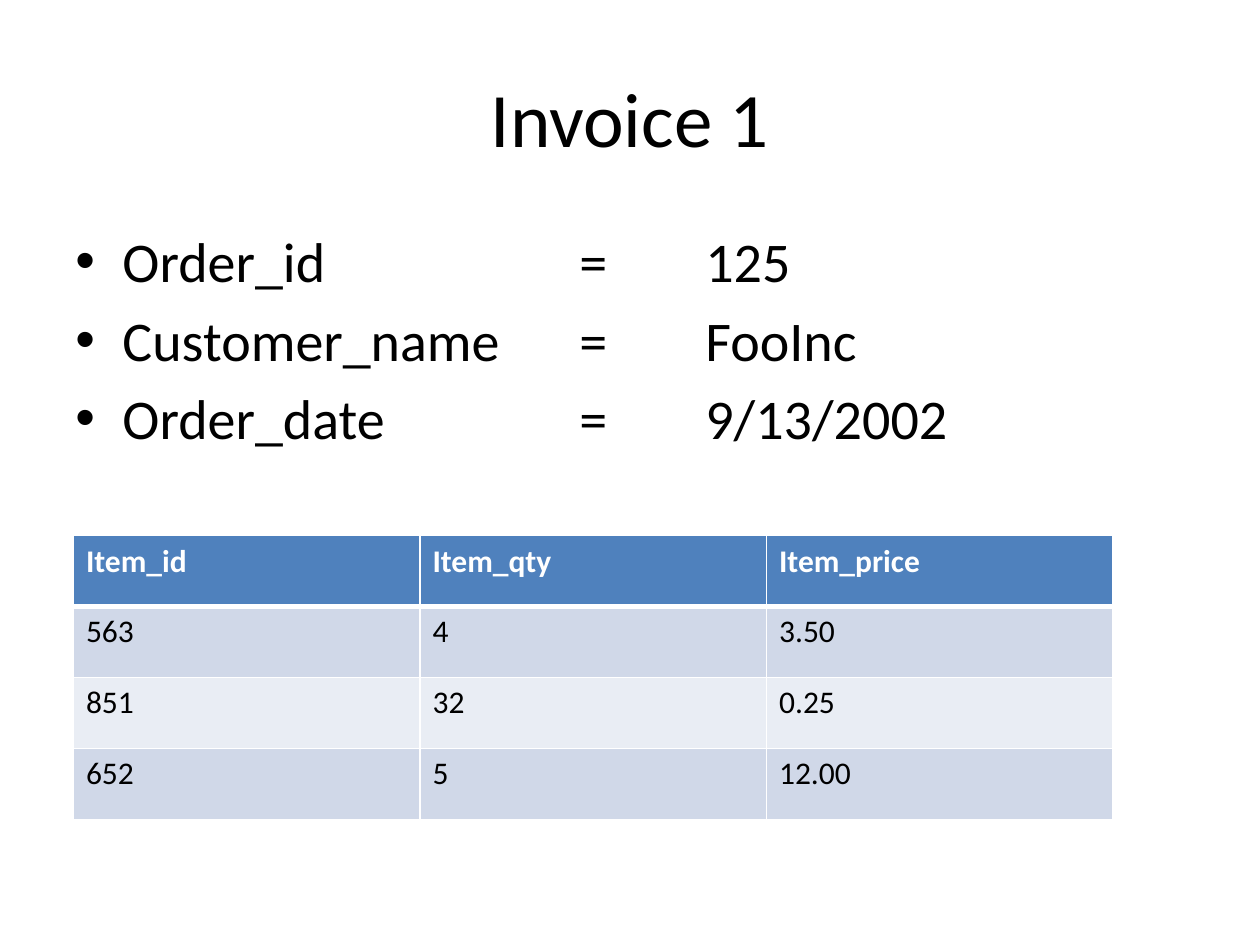
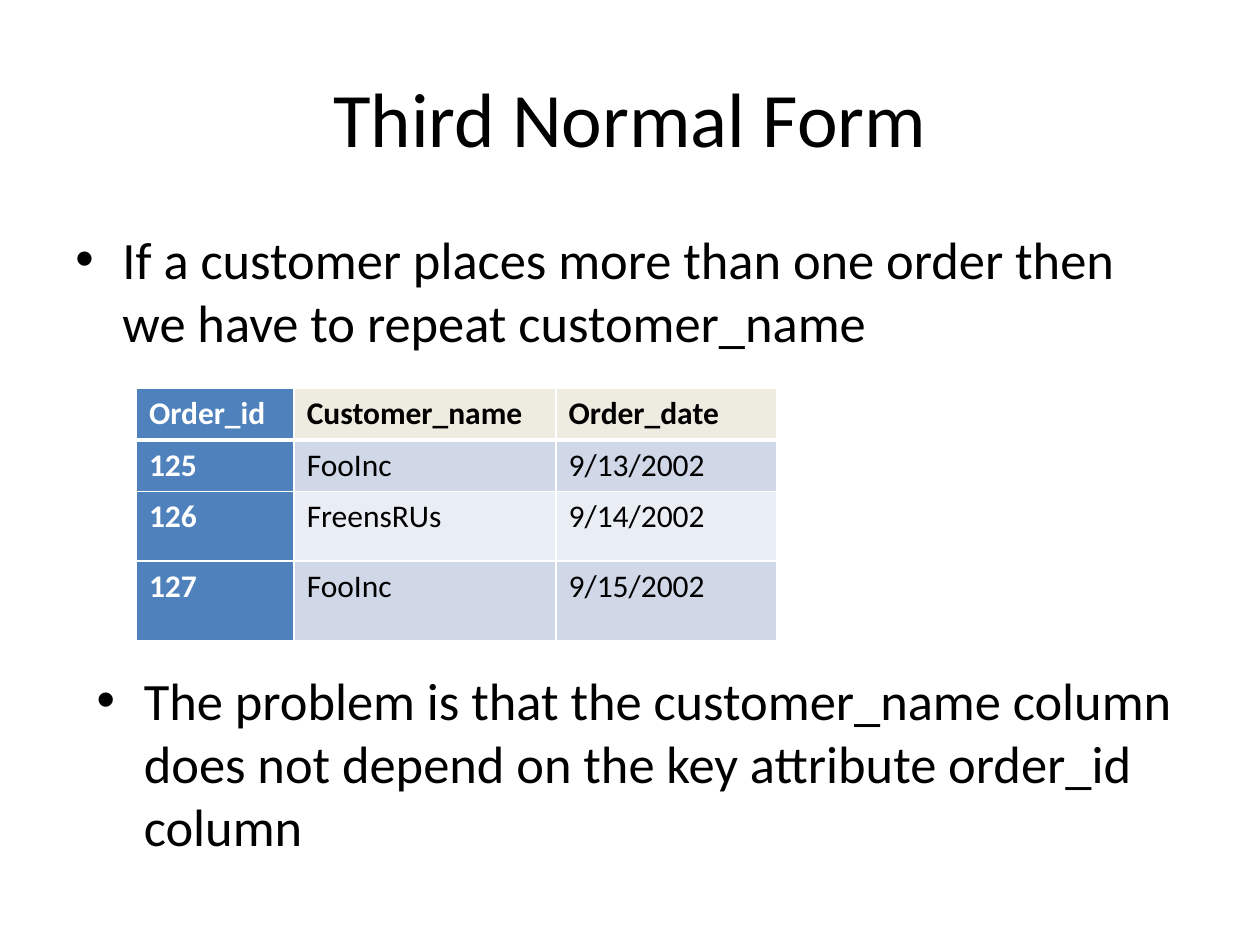
import dataclasses

import lxml.etree
import pptx
import pptx.dml.color
import pptx.enum.text
import pptx.oxml.ns
import pptx.util

Cm = pptx.util.Cm
Pt = pptx.util.Pt


@dataclasses.dataclass(frozen=True)
class Theme:
    font: str = "Calibri"
    bullet_font: str = "Arial"
    paper: str = "FFFFFF"
    ink: str = "000000"
    accent: str = "4F81BD"
    sand: str = "EEECE1"
    bands: tuple = ("D0D8E8", "E9EDF4")
    title_size: int = 44
    facts_size: int = 32
    point_size: int = 30
    cell_size: int = 18
    rule: int = 1
    header_rule: int = 3


@dataclasses.dataclass(frozen=True)
class Box:
    left: float
    top: float
    width: float
    height: float

    def lengths(self):
        return [Cm(value) for value in dataclasses.astuple(self)]


THEME = Theme()
TITLE_BOX = Box(1.27, 0.76, 22.86, 3.18)
BULLET_INDENT = Cm(0.95)
TAB_WIDTH = Cm(2.54)


def rgb(colour):
    return pptx.dml.color.RGBColor.from_string(colour)


def add_xml(parent, tag, **attributes):
    return lxml.etree.SubElement(parent, pptx.oxml.ns.qn(tag), attributes)


def format_runs(paragraph, size, colour=THEME.ink, bold=False):
    for run in paragraph.runs:
        run.font.name = THEME.font
        run.font.size = Pt(size)
        run.font.bold = bold
        run.font.color.rgb = rgb(colour)


def titled_slide(deck, heading):
    slide = deck.slides.add_slide(deck.slide_layouts[5])
    slide.background.fill.solid()
    slide.background.fill.fore_color.rgb = rgb(THEME.paper)
    title = slide.shapes.title
    title.left, title.top, title.width, title.height = TITLE_BOX.lengths()
    title.text_frame.text = heading
    title.text_frame.vertical_anchor = pptx.enum.text.MSO_ANCHOR.MIDDLE
    paragraph = title.text_frame.paragraphs[0]
    paragraph.alignment = pptx.enum.text.PP_ALIGN.CENTER
    format_runs(paragraph, THEME.title_size)
    return slide


def bullet_list(slide, box, points, size):
    frame = slide.shapes.add_textbox(*box.lengths()).text_frame
    frame.word_wrap = True
    frame.text = "\n".join(points)
    for paragraph in frame.paragraphs:
        paragraph.space_before = Pt(size * 0.2)
        properties = paragraph._p.get_or_add_pPr()
        properties.set("marL", str(BULLET_INDENT))
        properties.set("indent", str(-BULLET_INDENT))
        properties.set("defTabSz", str(TAB_WIDTH))
        add_xml(properties, "a:buFont", typeface=THEME.bullet_font)
        add_xml(properties, "a:buChar", char="•")
        format_runs(paragraph, size)


def rule_cell(cell, top, bottom):
    properties = cell._tc.get_or_add_tcPr()
    sides = {"L": THEME.rule, "R": THEME.rule, "T": top, "B": bottom}
    for side, weight in sides.items():
        line = add_xml(properties, f"a:ln{side}", w=str(Pt(weight)))
        add_xml(add_xml(line, "a:solidFill"), "a:srgbClr", val=THEME.paper)


def cell_colours(row, column, key_column):
    if key_column and column == 0 or row == 0 and not key_column:
        return THEME.accent, THEME.paper
    if row == 0:
        return THEME.sand, THEME.ink
    return THEME.bands[(row - 1) % len(THEME.bands)], THEME.ink


def record_table(slide, box, records, column_widths, row_heights, key_column=False):
    table = slide.shapes.add_table(
        len(records), len(records[0]), *box.lengths()
    ).table
    table.horz_banding = False
    table.first_col = key_column
    for column, width in zip(table.columns, column_widths):
        column.width = Cm(width)
    for row, height in zip(table.rows, row_heights):
        row.height = Cm(height)
    for r, record in enumerate(records):
        for c, value in enumerate(record):
            cell = table.cell(r, c)
            fill, ink = cell_colours(r, c, key_column)
            rule_cell(
                cell,
                top=THEME.header_rule if r == 1 else THEME.rule,
                bottom=THEME.header_rule if r == 0 else THEME.rule,
            )
            cell.fill.solid()
            cell.fill.fore_color.rgb = rgb(fill)
            cell.text_frame.text = value
            bold = r == 0 or (key_column and c == 0)
            format_runs(cell.text_frame.paragraphs[0], THEME.cell_size, ink, bold)


def invoice_slide(deck):
    slide = titled_slide(deck, "Invoice 1")
    order_facts = [
        "Order_id\t\t\t=\t125",
        "Customer_name\t=\tFooInc",
        "Order_date\t\t=\t9/13/2002",
    ]
    bullet_list(slide, Box(1.27, 4.45, 22.86, 6.99), order_facts, THEME.facts_size)
    items = [
        ("Item_id", "Item_qty", "Item_price"),
        ("563", "4", "3.50"),
        ("851", "32", "0.25"),
        ("652", "5", "12.00"),
    ]
    box = Box(1.48, 10.8, 20.96, 5.72)
    record_table(slide, box, items, [box.width / 3] * 3, [box.height / 4] * 4)


def normal_form_slide(deck):
    slide = titled_slide(deck, "Third Normal Form")
    repetition = (
        "If a customer places more than one order then "
        "we have to repeat customer_name"
    )
    problem = (
        "The problem is that the customer_name column does not depend "
        "on the key attribute order_id column"
    )
    bullet_list(slide, Box(1.27, 4.45, 22.86, 3.81), [repetition], THEME.point_size)
    orders = [
        ("Order_id", "Customer_name", "Order_date"),
        ("125", "FooInc", "9/13/2002"),
        ("126", "FreensRUs", "9/14/2002"),
        ("127", "FooInc", "9/15/2002"),
    ]
    record_table(
        slide,
        Box(2.75, 7.83, 12.91, 5.08),
        orders,
        column_widths=[3.18, 5.28, 4.45],
        row_heights=[1.04, 1.04, 1.4, 1.6],
        key_column=True,
    )
    bullet_list(slide, Box(1.7, 13.34, 22.86, 3.81), [problem], THEME.point_size)


deck = pptx.Presentation()
deck.slide_width = Cm(25.4)
deck.slide_height = Cm(19.05)
invoice_slide(deck)
normal_form_slide(deck)
deck.save("out.pptx")
